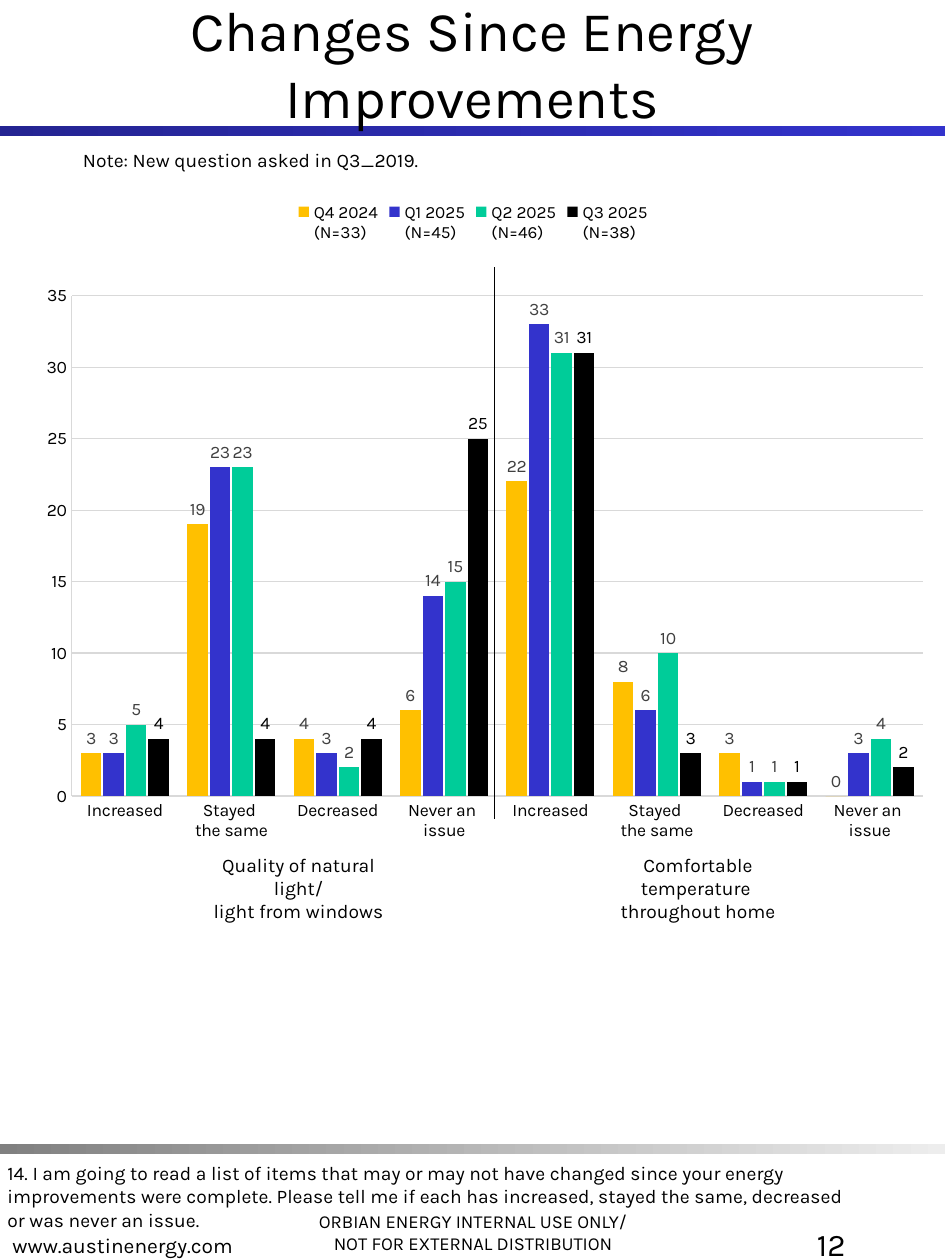
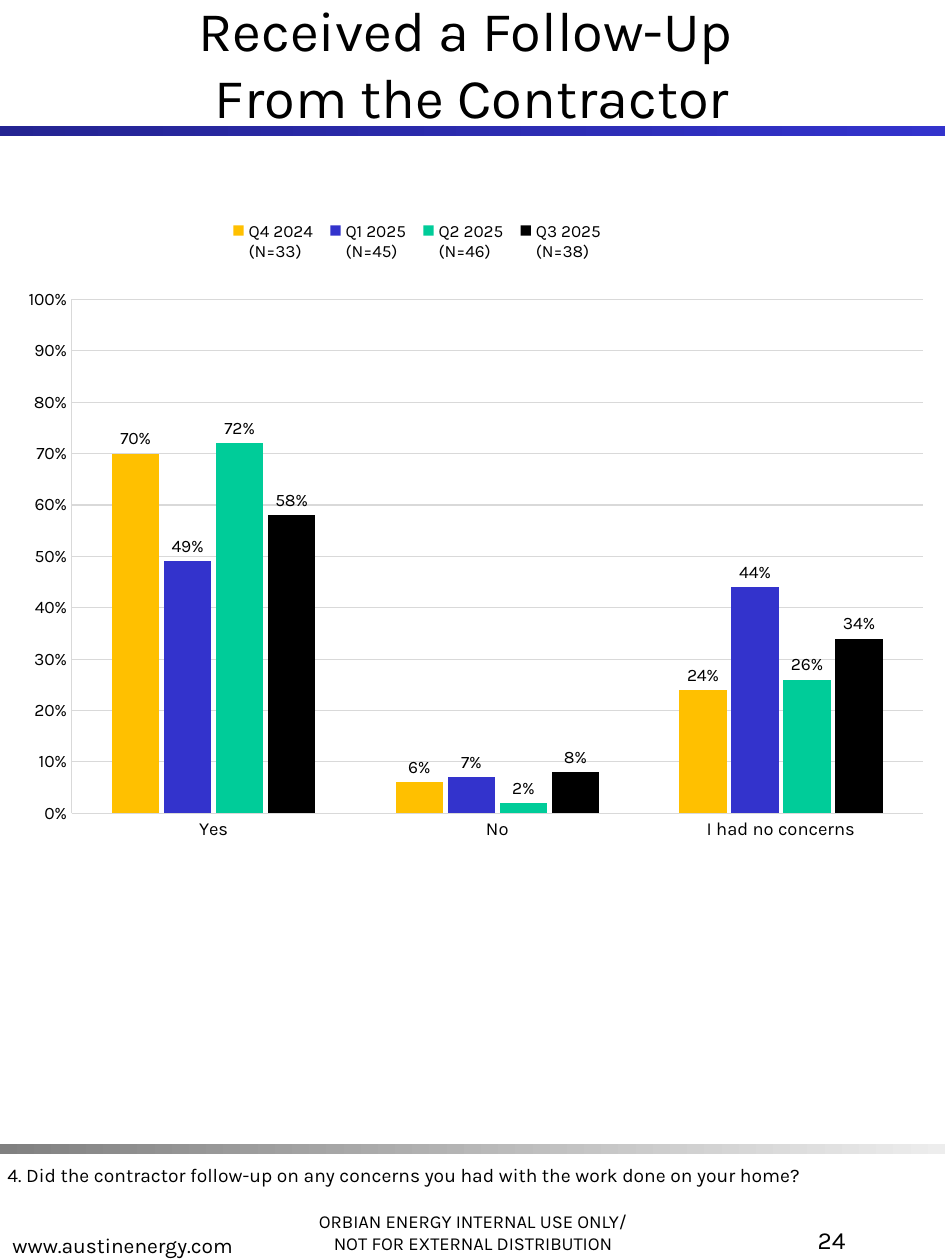
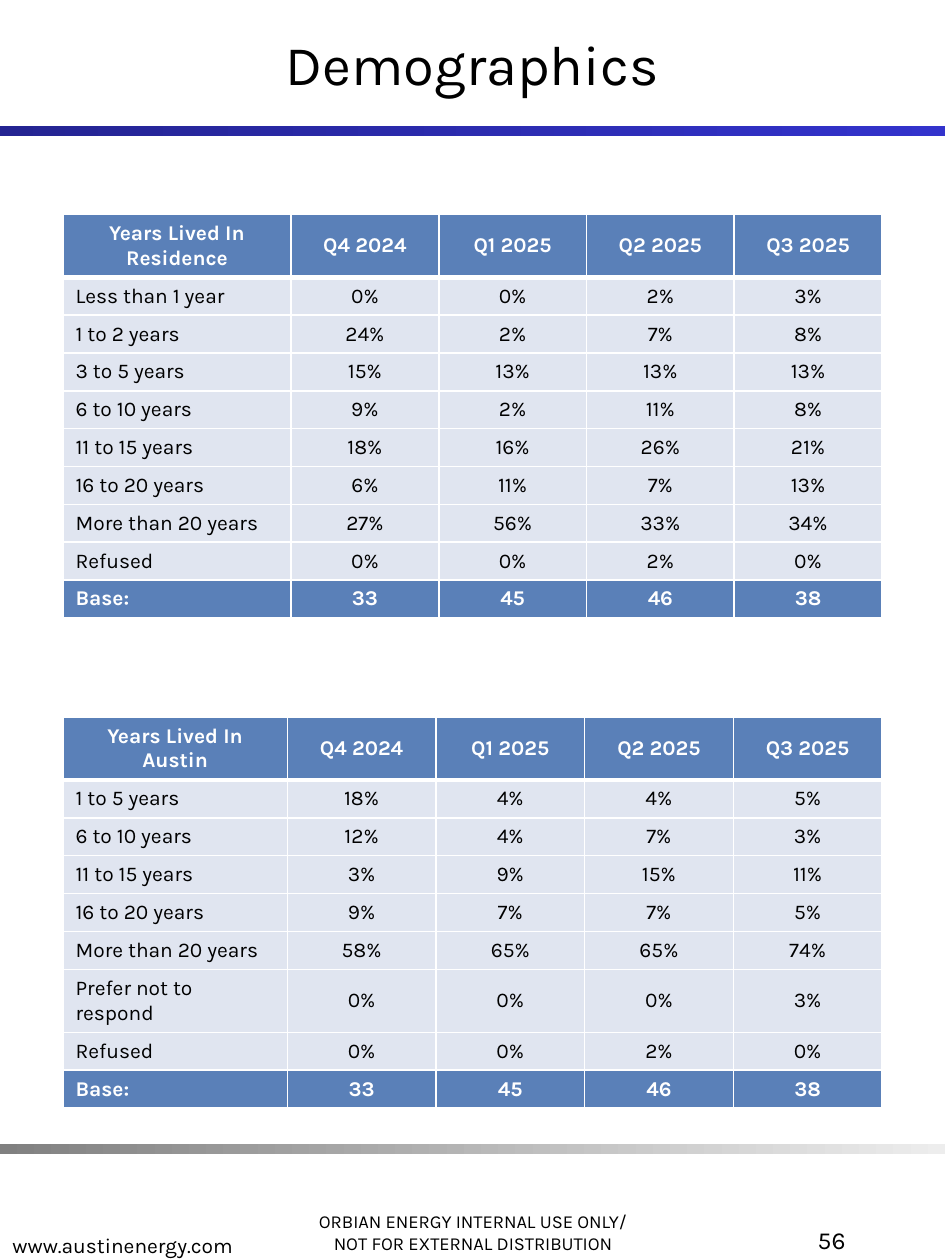
"""Build three survey report slides: two column charts and a page of tables."""

from dataclasses import dataclass
from typing import Optional

from lxml.etree import SubElement
from pptx import Presentation
from pptx.chart.chart import Chart
from pptx.chart.data import CategoryChartData
from pptx.dml.color import RGBColor
from pptx.enum.chart import XL_CHART_TYPE, XL_LABEL_POSITION, XL_LEGEND_POSITION, XL_TICK_MARK
from pptx.enum.shapes import MSO_CONNECTOR, MSO_SHAPE
from pptx.enum.text import MSO_ANCHOR, PP_ALIGN
from pptx.oxml import parse_xml
from pptx.oxml.ns import nsdecls, qn
from pptx.presentation import Presentation as Deck
from pptx.slide import Slide
from pptx.text.text import TextFrame
from pptx.util import Inches, Pt

FONT = "Karla"
BLACK = RGBColor(0x00, 0x00, 0x00)
WHITE = RGBColor(0xFF, 0xFF, 0xFF)
NAVY = RGBColor(0x24, 0x24, 0x92)
BLUE = RGBColor(0x33, 0x33, 0xCC)
GOLD = RGBColor(0xFF, 0xC0, 0x00)
GREEN = RGBColor(0x00, 0xCC, 0x99)
GRAY = RGBColor(0x80, 0x80, 0x80)
PALE_GRAY = RGBColor(0xED, 0xED, 0xED)
GRID_GRAY = RGBColor(0xD9, 0xD9, 0xD9)
LABEL_GRAY = RGBColor(0x40, 0x40, 0x40)
HEADER_BLUE = RGBColor(0x5A, 0x80, 0xB8)
ROW_BLUE = RGBColor(0xE0, 0xE5, 0xF0)

QUARTERS = ("Q4 2024", "Q1 2025", "Q2 2025", "Q3 2025")
BASES = ("33", "45", "46", "38")
SERIES_COLORS = (GOLD, BLUE, GREEN, BLACK)
CHANGES = ("Increased", "Stayed \nthe same", "Decreased", "Never an \nissue")


@dataclass(frozen=True)
class Box:
    """Position and size in inches."""

    left: float
    top: float
    width: float
    height: float

    def lengths(self) -> tuple:
        """Return the four measures as lengths."""
        return tuple(Inches(n) for n in (self.left, self.top, self.width, self.height))


@dataclass(frozen=True)
class ColumnChart:
    """Content and scale of a clustered column chart."""

    box: Box
    categories: tuple
    values: tuple
    plot_area: tuple
    gap: int
    maximum: float
    step: float
    number_format: str
    category_size: float
    label_colors: tuple
    legend_area: Optional[tuple] = None


@dataclass(frozen=True)
class YearsTable:
    """Content and measures of a demographics table."""

    title: str
    box: Box
    first_column: float
    row_height: float
    rows: tuple


CHANGES_CHART = ColumnChart(
    box=Box(0.06, 1.5, 7.39, 5.92),
    categories=CHANGES * 2,
    values=(
        (3, 19, 4, 6, 22, 8, 3, 0),
        (3, 23, 3, 14, 33, 6, 1, 3),
        (5, 23, 2, 15, 31, 10, 1, 4),
        (4, 4, 4, 25, 31, 3, 1, 2),
    ),
    plot_area=(0.069, 0.143, 0.914, 0.671),
    gap=90,
    maximum=35,
    step=5,
    number_format="General",
    category_size=10,
    label_colors=(LABEL_GRAY, LABEL_GRAY, LABEL_GRAY, BLACK),
)

FOLLOW_UP_CHART = ColumnChart(
    box=Box(0.06, 1.61, 7.39, 5.15),
    categories=("Yes", "No", "I had no concerns"),
    values=((0.7, 0.06, 0.24), (0.49, 0.07, 0.44), (0.72, 0.02, 0.26), (0.58, 0.08, 0.34)),
    plot_area=(0.069, 0.149, 0.914, 0.792),
    gap=170,
    maximum=1,
    step=0.1,
    number_format="0%",
    category_size=10.5,
    label_colors=(BLACK,) * 4,
    legend_area=(0.23, 0.01, 0.42, 0.1),
)

YEARS_TABLES = (
    YearsTable(
        "Years Lived In Residence", Box(0.5, 1.7, 6.5, 3.2), 1.81, 0.25,
        (
            ("Less than 1 year", "0%", "0%", "2%", "3%"),
            ("1 to 2 years", "24%", "2%", "7%", "8%"),
            ("3 to 5 years", "15%", "13%", "13%", "13%"),
            ("6 to 10 years", "9%", "2%", "11%", "8%"),
            ("11 to 15 years", "18%", "16%", "26%", "21%"),
            ("16 to 20 years", "6%", "11%", "7%", "13%"),
            ("More than 20 years", "27%", "56%", "33%", "34%"),
            ("Refused", "0%", "0%", "2%", "0%"),
        ),
    ),
    YearsTable(
        "Years Lived In Austin", Box(0.5, 5.69, 6.5, 2.9), 1.78, 0.28,
        (
            ("1 to 5 years", "18%", "4%", "4%", "5%"),
            ("6 to 10 years", "12%", "4%", "7%", "3%"),
            ("11 to 15 years", "3%", "9%", "15%", "11%"),
            ("16 to 20 years", "9%", "7%", "7%", "5%"),
            ("More than 20 years", "58%", "65%", "65%", "74%"),
            ("Prefer not to respond", "0%", "0%", "0%", "3%"),
            ("Refused", "0%", "0%", "2%", "0%"),
        ),
    ),
)


def style_font(font, size: float, color: RGBColor = BLACK, bold: bool = False) -> None:
    """Set the family, size, colour and weight of a font."""
    font.name, font.size, font.bold = FONT, Pt(size), bold
    font.color.rgb = color


def write_text(frame: TextFrame, text: str, *, size: float, color: RGBColor = BLACK,
               bold: bool = False, align: PP_ALIGN = PP_ALIGN.LEFT) -> None:
    """Fill a text frame with one paragraph for each line."""
    for index, line in enumerate(text.split("\n")):
        paragraph = frame.add_paragraph() if index else frame.paragraphs[0]
        paragraph.text = line
        paragraph.alignment = align
        for run in paragraph.runs:
            style_font(run.font, size, color, bold)


def add_text(slide: Slide, box: Box, text: str, *, anchor: MSO_ANCHOR = MSO_ANCHOR.TOP,
             wrap: bool = True, **text_format) -> None:
    """Add a text box."""
    frame = slide.shapes.add_textbox(*box.lengths()).text_frame
    frame.word_wrap = wrap
    frame.vertical_anchor = anchor
    write_text(frame, text, **text_format)


def add_band(slide: Slide, top: float, start: RGBColor, end: RGBColor) -> None:
    """Add a full-width gradient band."""
    band = slide.shapes.add_shape(MSO_SHAPE.RECTANGLE, *Box(0, top, 7.5, 0.08).lengths())
    band.shadow.inherit = False
    band.line.fill.background()
    band.fill.gradient()
    band.fill.gradient_angle = 0
    for stop, color in zip(band.fill.gradient_stops, (start, end)):
        stop.color.rgb = color


def add_page(presentation: Deck, title: str, number: int, number_size: float = 14) -> Slide:
    """Add a slide with the shared bands, footers, title and page number."""
    slide = presentation.slides.add_slide(presentation.slide_layouts[6])
    add_band(slide, 1, NAVY, BLUE)
    add_band(slide, 9.08, GRAY, PALE_GRAY)
    add_text(slide, Box(2.16, 9.33, 3.19, 0.67),
             "ORBIAN ENERGY INTERNAL USE ONLY/\nNOT FOR EXTERNAL DISTRIBUTION",
             size=10.5, align=PP_ALIGN.CENTER, anchor=MSO_ANCHOR.BOTTOM)
    add_text(slide, Box(0, 9.36, 3.19, 0.67), "www.austinenergy.com",
             size=12, anchor=MSO_ANCHOR.BOTTOM)
    add_text(slide, Box(0, 0, 7.5, 1), title,
             size=32, align=PP_ALIGN.CENTER, anchor=MSO_ANCHOR.MIDDLE)
    add_text(slide, Box(5.25, 9.67, 1.56, 0.67), str(number),
             size=number_size, align=PP_ALIGN.RIGHT)
    return slide


def manual_layout(area: tuple, inner: bool = False):
    """Return a chart layout element for a left, top, width, height share."""
    target = '<c:layoutTarget val="inner"/>' if inner else ""
    modes = '<c:xMode val="edge"/><c:yMode val="edge"/>'
    sizes = "".join(f'<c:{name} val="{value}"/>' for name, value in zip("xywh", area))
    return parse_xml(f'<c:layout {nsdecls("c")}><c:manualLayout>{target}{modes}{sizes}'
                     "</c:manualLayout></c:layout>")


def style_line(line, color: RGBColor, width: float) -> None:
    """Set the colour and width of a line."""
    line.color.rgb = color
    line.width = Pt(width)


def style_axes(chart: Chart, content: ColumnChart) -> None:
    """Format both axes and the gridlines."""
    for axis, size, width in ((chart.category_axis, content.category_size, 0.62),
                              (chart.value_axis, 10, 0.41)):
        axis.major_tick_mark = axis.minor_tick_mark = XL_TICK_MARK.NONE
        style_font(axis.tick_labels.font, size)
        style_line(axis.format.line, GRID_GRAY, width)
    axis = chart.value_axis
    axis.minimum_scale, axis.maximum_scale = 0, content.maximum
    axis.major_unit = content.step
    axis.has_major_gridlines = True
    style_line(axis.major_gridlines.format.line, GRID_GRAY, 0.62)
    axis.tick_labels.number_format = content.number_format
    axis.tick_labels.number_format_is_linked = False


def add_column_chart(slide: Slide, content: ColumnChart) -> None:
    """Add a clustered column chart with one series for each quarter."""
    data = CategoryChartData(number_format=content.number_format)
    data.categories = content.categories
    for quarter, base, values in zip(QUARTERS, BASES, content.values):
        data.add_series(f"{quarter}\n(N={base})", values)
    chart = slide.shapes.add_chart(
        XL_CHART_TYPE.COLUMN_CLUSTERED, *content.box.lengths(), data).chart
    chart.has_title = False
    style_font(chart.font, 10)
    style_axes(chart, content)

    chart.has_legend = True
    chart.legend.position = XL_LEGEND_POSITION.TOP
    chart.legend.include_in_layout = False
    style_font(chart.legend.font, 9.8)
    if content.legend_area:
        legend = chart.legend._element
        for layout in legend.findall(qn("c:layout")):
            legend.remove(layout)
        legend.insert(1, manual_layout(content.legend_area))

    plot = chart.plots[0]
    plot.gap_width, plot.overlap, plot.vary_by_categories = content.gap, -10, False
    for series, color, label_color in zip(plot.series, SERIES_COLORS, content.label_colors):
        series.format.fill.solid()
        series.format.fill.fore_color.rgb = color
        labels = series.data_labels
        labels.show_value = True
        labels.position = XL_LABEL_POSITION.OUTSIDE_END
        labels.number_format = content.number_format
        labels.number_format_is_linked = False
        style_font(labels.font, 10, label_color)

    plot_area = chart._chartSpace.chart.plotArea
    for layout in plot_area.findall(qn("c:layout")):
        plot_area.remove(layout)
    plot_area.insert(0, manual_layout(content.plot_area, inner=True))


def add_divider(slide: Slide, x: float, top: float, bottom: float) -> None:
    """Add a thin vertical line."""
    line = slide.shapes.add_connector(
        MSO_CONNECTOR.STRAIGHT, Inches(x), Inches(top), Inches(x), Inches(bottom))
    style_line(line.line, BLACK, 0.25)
    SubElement(line._element.spPr, qn("a:effectLst"))


def set_borders(cell, top: float, bottom: float) -> None:
    """Give a cell white borders, one point wide at the sides."""
    properties = cell._tc.get_or_add_tcPr()
    for side, width in (("L", 1), ("R", 1), ("T", top), ("B", bottom)):
        properties.append(parse_xml(
            f'<a:ln{side} {nsdecls("a")} w="{Pt(width)}"><a:solidFill>'
            f'<a:srgbClr val="{WHITE}"/></a:solidFill></a:ln{side}>'))


def add_years_table(slide: Slide, content: YearsTable) -> None:
    """Add a table with a header row, answer rows and a base row."""
    rows = ((content.title, *QUARTERS), *content.rows, ("Base:", *BASES))
    frame = slide.shapes.add_table(len(rows), len(rows[0]), *content.box.lengths())
    table = frame.table
    table.first_row = table.horz_banding = False
    quarter_width = (content.box.width - content.first_column) / len(QUARTERS)
    for index, column in enumerate(table.columns):
        column.width = Inches(quarter_width if index else content.first_column)
    for row_index, texts in enumerate(rows):
        table.rows[row_index].height = Inches(content.row_height)
        is_header = row_index == 0
        is_strong = is_header or row_index == len(rows) - 1
        for column_index, text in enumerate(texts):
            cell = table.cell(row_index, column_index)
            set_borders(cell, 3 if row_index == 1 else 1, 3 if is_header else 1)
            cell.fill.solid()
            cell.fill.fore_color.rgb = HEADER_BLUE if is_strong else ROW_BLUE
            cell.vertical_anchor = MSO_ANCHOR.MIDDLE
            centred = is_header or column_index > 0
            write_text(cell.text_frame, text, size=12, bold=is_strong,
                       color=WHITE if is_strong else BLACK,
                       align=PP_ALIGN.CENTER if centred else PP_ALIGN.LEFT)
    frame.height = Inches(content.box.height)


def build_changes(presentation: Deck) -> None:
    """Build the slide on changes since the improvements."""
    slide = add_page(presentation, "Changes Since Energy Improvements", 12, 18)
    add_text(slide, Box(0.56, 1.13, 6.44, 0.29),
             "Note: New question asked in Q3_2019.", size=11)
    add_text(slide, Box(-0.04, 9.17, 6.85, 0.66),
             "14. I am going to read a list of items that may or may not have changed since "
             "your energy improvements were complete. Please tell me if each has increased, "
             "stayed the same, decreased or was never an issue.", size=11)
    add_column_chart(slide, CHANGES_CHART)
    for box, text in (
        (Box(1.58, 6.72, 1.58, 0.45), "Quality of natural light/\nlight from windows"),
        (Box(4.58, 6.72, 1.92, 0.6), "Comfortable temperature \nthroughout home"),
    ):
        add_text(slide, box, text, size=11, align=PP_ALIGN.CENTER, wrap=False)
    add_divider(slide, 3.92, 2.12, 6.5)


def build_follow_up(presentation: Deck) -> None:
    """Build the slide on the contractor's follow-up."""
    slide = add_page(presentation, "Received a Follow-Up \vFrom the Contractor", 24)
    add_text(slide, Box(-0.04, 9.18, 6.85, 0.29),
             "4. Did the contractor follow-up on any concerns you had with the work done "
             "on your home?", size=11)
    add_column_chart(slide, FOLLOW_UP_CHART)


def build_demographics(presentation: Deck) -> None:
    """Build the slide with the demographics tables."""
    slide = add_page(presentation, "Demographics", 56)
    for content in YEARS_TABLES:
        add_years_table(slide, content)


def main() -> None:
    """Build and save the presentation."""
    presentation = Presentation()
    presentation.slide_width, presentation.slide_height = Inches(7.5), Inches(10)
    build_changes(presentation)
    build_follow_up(presentation)
    build_demographics(presentation)
    presentation.save("out.pptx")


if __name__ == "__main__":
    main()
